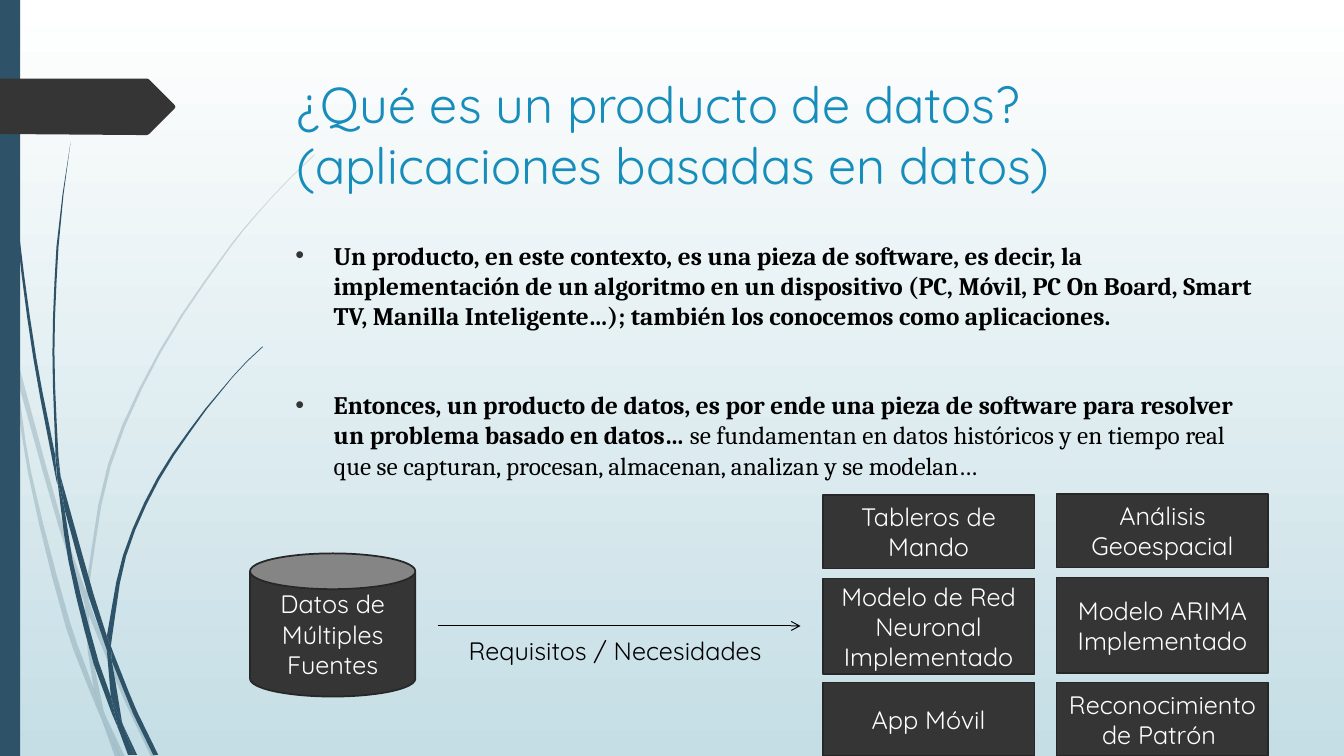
from math import hypot
from lxml.etree import SubElement
from pptx import Presentation
from pptx.dml.color import RGBColor
from pptx.enum.shapes import MSO_CONNECTOR, MSO_SHAPE
from pptx.enum.text import MSO_ANCHOR as ANCHOR, MSO_AUTO_SIZE as AUTO, PP_ALIGN as ALIGN
from pptx.oxml.ns import qn
from pptx.util import Inches, Pt

# Content
TITLE = "¿Qué es un producto de datos? \v(aplicaciones basadas en datos)"
BULLETS = [  # (space before, runs of (text, bold))
    (0, [("Un producto, en este contexto, es una pieza de software, es decir, la implementación "
          "de un algoritmo en un dispositivo (PC, Móvil, PC On Board, Smart TV, Manilla "
          "Inteligente…); también los conocemos como aplicaciones.", True)]),
    (42, [("Entonces, un producto de datos, es por ende una pieza de software para resolver "
           "un problema basado en datos… ", True),
          ("se fundamentan en datos históricos y en tiempo real que se capturan, procesan, "
           "almacenan, analizan y se modelan…", False)]),
]
SOURCE = "Datos de Múltiples Fuentes"
NEEDS = "Requisitos / Necesidades"
PRODUCT_COLUMNS = [  # (left, boxes of (top, height, name))
    (8.16, [(4.91, 0.73, "Tableros de Mando"),
            (5.74, 0.95, "Modelo de Red Neuronal Implementado"),
            (6.77, 0.73, "App Móvil")]),
    (10.48, [(4.9, 0.73, "Análisis Geoespacial"),
             (5.73, 0.95, "Modelo ARIMA Implementado"),
             (6.77, 0.73, "Reconocimiento de Patrón ")]),
]
PRODUCT_WIDTH = 2.1

NAVY, DARK, EDGE, BLUE = "2E5369", "353535", "272727", "178DBB"
BLACK, WHITE, MIST = "000000", "FFFFFF", "C5DEE5"
HEAD_FONT, BODY_FONT = "Quicksand", "Cambria"

# Grass blades: smooth edges as "x,y" points in inches, edges parted by "/"
PALE_BLADES = [
    "0.11,3.5 0.09,3.22 0,2.82 / 0,2.99 0.1,3.44",
    "0.17,3.76 0.58,5.22 0.84,5.99 / 0.85,5.86 0.62,5.2 0.14,3.45",
    "0.88,6.1 1.23,6.94 1.5,7.51 / 1.55,7.51 1.27,6.92 0.92,6.07 0.88,5.96",
    "1.05,7.11 1.19,7.51 / 1.24,7.51",
    "0.11,3.5 0.28,4.7 0.65,6.21 0.92,6.93 1.01,7.14 / "
    "0.99,7.07 0.93,6.83 0.7,6.19 0.31,4.69 0.17,3.76",
    "0.84,5.99 0.87,6.46 0.93,6.83 0.96,6.92 1.05,7.11 / 1.03,7.06 0.91,6.46 0.88,6.1 0.88,6.08",
    "0.88,5.96 0.88,5.84 1.1,4.62 1.6,3.49 2.29,2.45 2.68,1.98 2.9,1.75 3.12,1.54 / "
    "3.12,1.53 2.89,1.75 2.68,1.97 2.28,2.44 1.58,3.48 1.07,4.61 0.85,5.84 0.85,5.86",
    "1.01,7.14 1.14,7.51 / 1.19,7.51",
    "0.88,6.08 0.88,6.1 0.88,5.96 / 0.85,5.86 0.84,5.99",
    "0.93,6.83 0.99,7.07 1.01,7.14 1.19,7.51 / 1.05,7.11 0.96,6.92",
]
DARK_BLADES = [
    "0.03,0 0.04,0.48 0.07,1.1 0.17,2.33 0.33,3.55 0.56,4.77 0.57,4.81 / "
    "0.55,4.57 0.55,4.53 0.36,3.55 0.19,2.32 0.08,1.09 0.05,0.48 0.04,0",
    "0.64,5.05 0.88,5.92 1.06,6.45 / 1.06,6.33 1.06,6.31 0.93,5.9 0.6,4.72",
    "1.11,6.56 1.32,7.08 1.52,7.49 / 1.57,7.49 1.36,7.06 1.13,6.49 1.1,6.41",
    "0.57,4.77 0.68,5.57 0.93,6.59 1.11,7.08 1.17,7.22 / "
    "1.16,7.17 1.1,6.91 0.98,6.57 0.72,5.56 0.64,5.05",
    "0.6,4.72 0.58,4.53 0.54,3.49 0.58,2.45 0.63,1.93 0.7,1.41 / "
    "0.7,1.41 0.62,1.93 0.56,2.45 0.52,3.49 0.55,4.49",
    "1.22,7.19 1.33,7.49 / 1.36,7.49",
    "0.57,4.77 0.64,5.05 / 0.6,4.72 0.55,4.49 / 0.55,4.53",
    "1.1,6.41 1.11,6.33 1.25,5.52 1.58,4.76 2.05,4.06 2.31,3.74 2.45,3.59 2.61,3.44 / "
    "2.6,3.44 2.45,3.58 2.31,3.73 2.04,4.05 1.56,4.74 1.22,5.51 1.06,6.31",
    "1.17,7.22 1.27,7.49 / 1.31,7.49",
    "1.06,6.45 1.1,6.91 1.16,7.06 1.22,7.19 / 1.21,7.16 1.11,6.56 1.09,6.51",
    "1.06,6.45 1.09,6.51 1.11,6.56 / 1.1,6.41 1.06,6.31 1.06,6.33",
    "1.1,6.91 1.16,7.17 1.17,7.22 1.3,7.49 / 1.33,7.49 1.22,7.19 1.16,7.06",
]
POINTER = [(0, 0.78), (1.46, 0.78), (1.48, 0.79), (1.73, 1.04), (1.74, 1.06), (1.73, 1.08),
           (1.48, 1.33), (1.46, 1.34), (1.36, 1.34), (0, 1.33)]


def color(hex_text):
    return RGBColor.from_string(hex_text)


def style_run(r, font, size, hex_text, bold=False):
    r.font.name, r.font.size, r.font.bold = font, Pt(size), bold
    r.font.color.rgb = color(hex_text)


def smooth(points):
    """Points along a curve through the given points; long spans get two more."""
    spans = [hypot(q[0] - p[0], q[1] - p[1]) for p, q in zip(points, points[1:])]
    slopes = []
    for i in range(len(points)):
        (x0, y0), (x1, y1) = points[max(i - 1, 0)], points[min(i + 1, len(points) - 1)]
        length = hypot(x1 - x0, y1 - y0) or 1
        slopes.append(((x1 - x0) / length, (y1 - y0) / length))
    curve = points[:1]
    for p, q, m, n, span in zip(points, points[1:], slopes, slopes[1:], spans):
        steps, reach = (3 if span > 0.6 else 1), span / 3
        for t in (k / steps for k in range(1, steps + 1)):
            u = 1 - t
            curve.append(tuple(u**3 * a + 3 * u * u * t * (a + reach * da)
                               + 3 * u * t * t * (b - reach * db) + t**3 * b
                               for a, b, da, db in zip(p, q, m, n)))
    return curve


def add_outline(points, fill, opacity=100):
    emu = [(Inches(x), Inches(y)) for x, y in points]
    builder = shapes.build_freeform(*emu[0], scale=1.0)
    builder.add_line_segments(emu[1:], close=True)
    sp = builder.convert_to_shape()
    paint(sp, fill)
    if opacity < 100:
        clr = sp.element.spPr.find(qn("a:solidFill"))[0]
        SubElement(clr, qn("a:alpha")).set("val", str(opacity * 1000))


def paint(sp, fill, line=None):
    sp.shadow.inherit = False
    sp.fill.solid()
    sp.fill.fore_color.rgb = color(fill)
    if line:
        sp.line.color.rgb, sp.line.width = color(line), Pt(1.25)
    else:
        sp.line.fill.background()


def add_box(kind, left, top, width, height, text):
    sp = shapes.add_shape(kind, Inches(left), Inches(top), Inches(width), Inches(height))
    paint(sp, DARK, EDGE)
    tf = sp.text_frame
    tf.word_wrap, tf.vertical_anchor = True, ANCHOR.MIDDLE
    tf.text = text
    p = tf.paragraphs[0]
    p.alignment = ALIGN.CENTER
    style_run(p.runs[0], HEAD_FONT, 18, WHITE)


def place(sp, left, top, width, height):
    sp.left, sp.top, sp.width, sp.height = map(Inches, (left, top, width, height))
    tf = sp.text_frame
    tf.word_wrap, tf.auto_size, tf.vertical_anchor = True, AUTO.NONE, ANCHOR.TOP
    shapes.element.append(sp.element)  # bring in front of the decoration
    return tf


prs = Presentation()
prs.slide_width, prs.slide_height = Inches(13.33), Inches(7.5)
slide = prs.slides.add_slide(prs.slide_layouts[1])
shapes = slide.shapes

# Background
fill = slide.background.fill
fill.gradient()
fill.gradient_angle = 270
for stop, hex_text, position in zip(fill.gradient_stops, (WHITE, MIST), (0, 1)):
    stop.color.rgb, stop.position = color(hex_text), position

# Decoration
for blades, opacity in ((PALE_BLADES, 20), (DARK_BLADES, 100)):
    for blade in blades:
        edges = [[tuple(map(float, xy.split(","))) for xy in edge.split()]
                 for edge in blade.split("/")]
        add_outline([point for edge in edges for point in smooth(edge)], NAVY, opacity)
band = shapes.add_shape(MSO_SHAPE.RECTANGLE, 0, 0, Inches(0.2), prs.slide_height)
paint(band, NAVY)
add_outline(POINTER, DARK)

# Title
tf = place(shapes.title, 2.84, 0.68, 9.75, 1.4)
tf.text = TITLE
tf.paragraphs[0].alignment = ALIGN.LEFT
for r in tf.paragraphs[0].runs:
    style_run(r, HEAD_FONT, 36, BLUE)

# Bullets
tf = place(slide.placeholders[1], 2.83, 2.33, 9.75, 4.13)
for i, (before, runs) in enumerate(BULLETS):
    p = tf.add_paragraph() if i else tf.paragraphs[0]
    pPr = p._p.get_or_add_pPr()
    pPr.set("marL", str(Inches(0.38)))
    pPr.set("indent", str(-Inches(0.38)))
    SubElement(SubElement(pPr, qn("a:buClr")), qn("a:srgbClr")).set("val", DARK)
    SubElement(pPr, qn("a:buFont")).set("typeface", "Arial")
    SubElement(pPr, qn("a:buChar")).set("char", "•")
    p.space_before = Pt(before)
    for text, bold in runs:
        r = p.add_run()
        r.text = text
        style_run(r, BODY_FONT, 18, BLACK, bold)

# Data source, arrow and its label
add_box(MSO_SHAPE.CAN, 2.48, 5.49, 1.64, 1.42, SOURCE)
arrow = shapes.add_connector(MSO_CONNECTOR.STRAIGHT, Inches(4.34), Inches(6.21),
                             Inches(7.94), Inches(6.21))
arrow.line.color.rgb, arrow.line.width = color(BLACK), Pt(0.75)
SubElement(arrow.element.spPr.find(qn("a:ln")), qn("a:tailEnd")).set("type", "arrow")
SubElement(arrow.element.spPr, qn("a:effectLst"))
tf = shapes.add_textbox(Inches(4.55), Inches(6.25), Inches(3.5), Inches(0.4)).text_frame
tf.word_wrap = True
tf.text = NEEDS
style_run(tf.paragraphs[0].runs[0], HEAD_FONT, 18, BLACK)

# Data products
for left, boxes in PRODUCT_COLUMNS:
    for top, height, name in boxes:
        add_box(MSO_SHAPE.RECTANGLE, left, top, PRODUCT_WIDTH, height, name)

prs.save("out.pptx")
